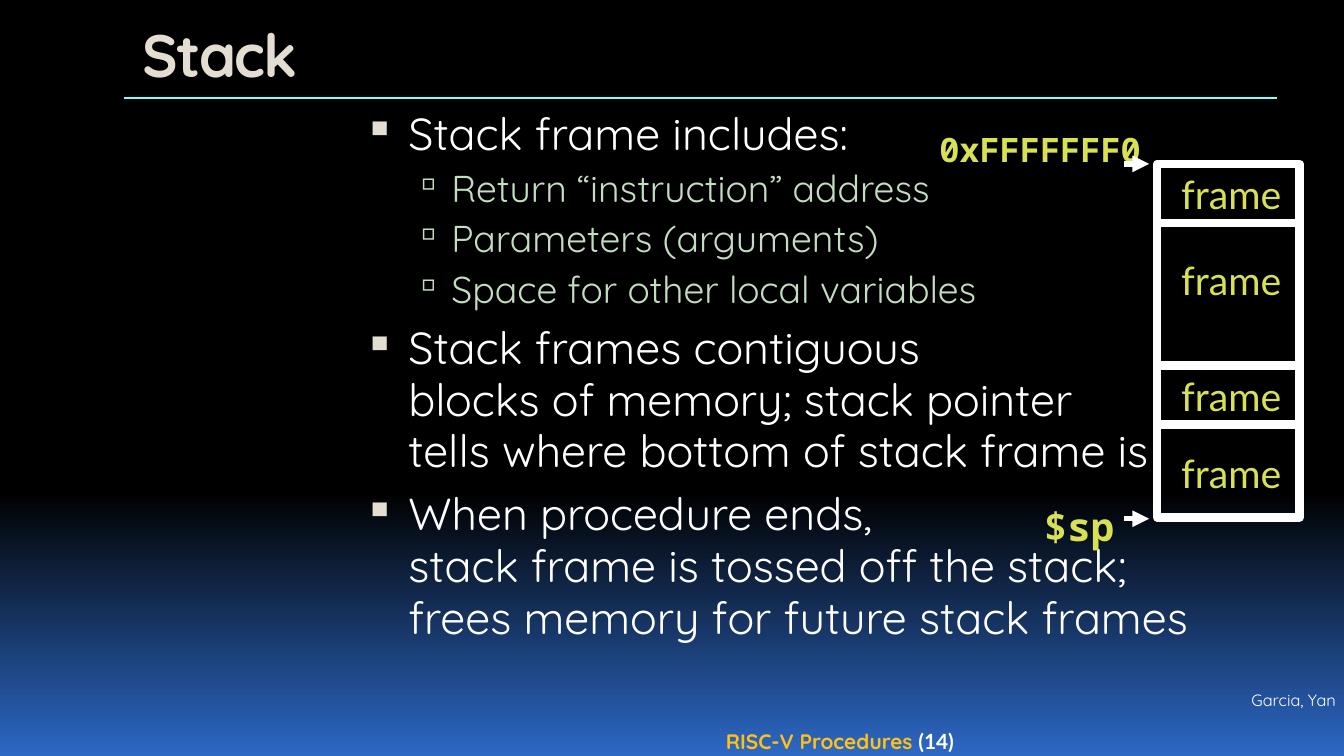
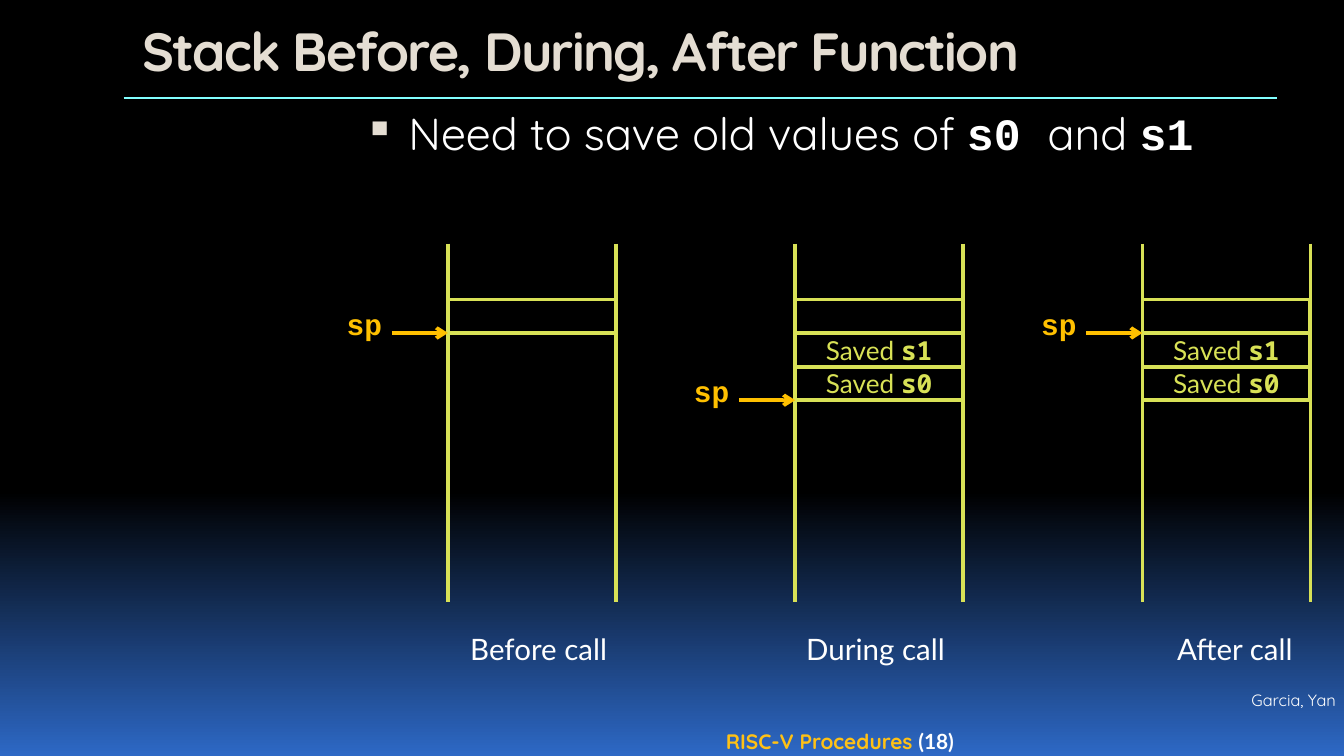
from dataclasses import dataclass

from lxml.etree import SubElement
from pptx import Presentation
from pptx.dml.color import RGBColor
from pptx.enum.shapes import MSO_CONNECTOR, MSO_SHAPE
from pptx.enum.text import MSO_ANCHOR, MSO_AUTO_SIZE, PP_ALIGN
from pptx.oxml.ns import qn
from pptx.util import Pt

WHITE, BLACK, BLUE = "FFFFFF", "000000", "2D68C5"
CREAM, MINT, LIME = "E4DDD2", "C5DBC3", "D8E156"
CYAN, GOLD, AMBER = "82FFFF", "FFC115", "FFC000"
HEAD, BODY, MONO, CODE = "Quicksand", "Lato", "Noto Sans Mono", "Courier New"


@dataclass(frozen=True)
class Run:
    text: str
    font: str = HEAD
    bold: bool = False


@dataclass(frozen=True)
class Level:
    size: float
    color: str
    bullet: str
    bullet_color: str
    bullet_size: int
    left: float
    hanging: float
    before: float


@dataclass(frozen=True)
class Bullet:
    level: Level
    runs: tuple[Run, ...]


@dataclass(frozen=True)
class Frame:
    height: float
    label_offset: float


@dataclass(frozen=True)
class Pointer:
    text: str
    size: float
    left: float
    top: float
    width: float
    height: float
    arrow_y: float


@dataclass(frozen=True)
class StackState:
    caption: str
    caption_left: float
    caption_width: float
    sp_row: int
    saved: tuple[str, ...] = ()


TOPIC = Level(24, WHITE, "▪", CREAM, 95, 28.8, 23.8, 6.2)
DETAIL = Level(20, MINT, "▫", MINT, 90, 51.8, 20.2, 4)

FRAME_BULLETS = (
    Bullet(TOPIC, (Run("Stack frame includes:"),)),
    Bullet(DETAIL, (Run("Return “instruction” address"),)),
    Bullet(DETAIL, (Run("Parameters (arguments)"),)),
    Bullet(DETAIL, (Run("Space for other local variables"),)),
    Bullet(TOPIC, (Run("Stack frames contiguous \nblocks of memory; stack pointer \n"
                       "tells where bottom of stack frame is"),)),
    Bullet(TOPIC, (Run("When procedure ends, \nstack frame is tossed off the stack; \n"
                       "frees memory for future stack frames"),)),
)
SAVE_BULLETS = (
    Bullet(TOPIC, (Run("Need to save old values of "), Run("s0 ", CODE, True),
                   Run("and "), Run("s1", CODE, True))),
)
FRAMES = (Frame(31.7, 0), Frame(76.3, 14.4), Frame(31.7, 0), Frame(49.7, 9.4))
POINTERS = (
    Pointer("$sp", 21, 552.2, 265.7, 52.6, 32.4, 277.9),
    Pointer("0xFFFFFFF0", 18, 496.1, 65.5, 123.1, 28.8, 87.8),
)
STATES = (
    StackState("Before call", 244.8, 90, 1),
    StackState("During call", 424.8, 90, 3, ("s1", "s0")),
    StackState("After call", 623.5, 77, 1, ("s1", "s0")),
)


def rgb(value: str) -> RGBColor:
    return RGBColor.from_string(value)


def write(p, text: str, *, size: float, color: str, font: str = HEAD,
          bold: bool = False, spacing: int = 0) -> None:
    for i, part in enumerate(text.split("\n")):
        if i:
            p.add_line_break()
        r = p.add_run()
        r.text = part
        r.font.size, r.font.name, r.font.bold = Pt(size), font, bold
        r.font.color.rgb = rgb(color)
        if spacing:
            r._r.get_or_add_rPr().set("spc", str(spacing))


def set_margins(tf, x: float, y: float) -> None:
    tf.margin_left = tf.margin_right = Pt(x)
    tf.margin_top = tf.margin_bottom = Pt(y)


def add_box(s, left: float, top: float, width: float, height: float, *,
            wrap: bool = False, margins: tuple[float, float] = (7.2, 3.6),
            grow: bool = True):
    tf = s.shapes.add_textbox(Pt(left), Pt(top), Pt(width), Pt(height)).text_frame
    tf.word_wrap = wrap
    tf.auto_size = MSO_AUTO_SIZE.SHAPE_TO_FIT_TEXT if grow else MSO_AUTO_SIZE.NONE
    set_margins(tf, *margins)
    return tf


def add_rect(s, left: float, top: float, width: float, height: float,
             color: str, weight: float):
    sp = s.shapes.add_shape(MSO_SHAPE.RECTANGLE, Pt(left), Pt(top), Pt(width), Pt(height))
    sp.shadow.inherit = False
    sp.fill.background()
    sp.line.color.rgb = rgb(color)
    sp.line.width = Pt(weight)
    return sp


def add_line(s, x1: float, y1: float, x2: float, y2: float,
             color: str, weight: float, head: str = "") -> None:
    cx = s.shapes.add_connector(MSO_CONNECTOR.STRAIGHT, Pt(x1), Pt(y1), Pt(x2), Pt(y2))
    cx.line.color.rgb = rgb(color)
    cx.line.width = Pt(weight)
    if head:
        SubElement(cx.line._get_or_add_ln(), qn("a:tailEnd"), type=head)
    SubElement(cx._element.spPr, qn("a:effectLst"))


def set_bullet(p, level: Level) -> None:
    pPr = p._p.get_or_add_pPr()
    pPr.set("marL", str(Pt(level.left)))
    pPr.set("indent", str(-Pt(level.hanging)))
    SubElement(SubElement(pPr, qn("a:buClr")), qn("a:srgbClr"), val=level.bullet_color)
    SubElement(pPr, qn("a:buSzPct"), val=str(level.bullet_size * 1000))
    SubElement(pPr, qn("a:buChar"), char=level.bullet)


def add_bullets(s, bullets: tuple[Bullet, ...]) -> None:
    tf = add_box(s, 180, 53.3, 506.2, 316.8, wrap=True, margins=(10, 5), grow=False)
    for i, bullet in enumerate(bullets):
        p = tf.add_paragraph() if i else tf.paragraphs[0]
        level = bullet.level
        set_bullet(p, level)
        p.line_spacing = 0.96
        if i:
            p.space_before = Pt(level.before)
        for run in bullet.runs:
            write(p, run.text, size=level.size, color=level.color,
                  font=run.font, bold=run.bold)


def set_background(prs) -> None:
    fill = prs.slide_master.background.fill
    fill.gradient()
    fill.gradient_angle = 270
    for stop, position, color in zip(fill.gradient_stops, (0.65, 1), (BLACK, BLUE)):
        stop.position = position
        stop.color.rgb = rgb(color)


def add_slide(prs, title: str, title_size: float, number: int,
              bullets: tuple[Bullet, ...]):
    s = prs.slides.add_slide(prs.slide_layouts[5])
    sp = s.shapes.title
    sp.left, sp.top, sp.width, sp.height = Pt(66.2), Pt(4.3), Pt(620), Pt(44.6)
    tf = sp.text_frame
    tf.word_wrap, tf.auto_size = True, MSO_AUTO_SIZE.NONE
    tf.vertical_anchor = MSO_ANCHOR.TOP
    set_margins(tf, 10, 5)
    p = tf.paragraphs[0]
    p.alignment = PP_ALIGN.LEFT
    write(p, title, size=title_size, color=CREAM, bold=True, spacing=-90)

    add_line(s, 66.2, 52.5, 684, 52.5, CYAN, 1.5)
    p = add_box(s, 180, 388.8, 540, 17.3, wrap=True, margins=(4.3, 1.4)).paragraphs[0]
    p.alignment = PP_ALIGN.CENTER
    write(p, "RISC-V Procedures ", size=11.2, color=GOLD, bold=True)
    write(p, f"({number})", size=11.2, color=WHITE, font=BODY, bold=True)
    p = add_box(s, 642.2, 368.6, 77.8, 14.4, wrap=True, margins=(4.3, 1.4)).paragraphs[0]
    p.alignment = PP_ALIGN.RIGHT
    write(p, "Garcia, Yan", size=8.8, color=WHITE)
    add_bullets(s, bullets)
    return s


def draw_frames(s) -> None:
    top = 87.8
    for frame in FRAMES:
        add_rect(s, 620, top, 76.3, frame.height, WHITE, 4.5)
        tf = add_box(s, 625.7, top + frame.label_offset, 70.6, 32.4)
        write(tf.paragraphs[0], "frame", size=21, color=LIME, font=BODY)
        top += frame.height
    for ptr in POINTERS:
        tf = add_box(s, ptr.left, ptr.top, ptr.width, ptr.height)
        write(tf.paragraphs[0], ptr.text, size=ptr.size, color=LIME, font=MONO, bold=True)
        add_line(s, 602, ptr.arrow_y, 615.6, ptr.arrow_y, WHITE, 3, "triangle")


def draw_state(s, state: StackState, left: float) -> None:
    width, row, first_row = 90, 18, 160.4
    for x in (left, left + width):
        add_line(s, x, 130.5, x, 322.5, LIME, 2)
    add_rect(s, left, first_row, width, row, LIME, 2)
    for i, name in enumerate(state.saved, 1):
        tf = add_rect(s, left, first_row + i * row, width, row, LIME, 2).text_frame
        tf.vertical_anchor = MSO_ANCHOR.MIDDLE
        p = tf.paragraphs[0]
        p.alignment = PP_ALIGN.CENTER
        write(p, "Saved ", size=14, color=LIME, font=BODY)
        write(p, name, size=14, color=LIME, font=MONO, bold=True)
    sp_y = first_row + state.sp_row * row
    add_line(s, left - 30, sp_y, left, sp_y, AMBER, 2, "arrow")
    tf = add_box(s, left - 61.3, sp_y - row, 33.8, 26.6)
    write(tf.paragraphs[0], "sp", size=15.8, color=AMBER, font=CODE, bold=True)
    tf = add_box(s, state.caption_left, 334.8, state.caption_width, 26.6)
    write(tf.paragraphs[0], state.caption, size=15.8, color=WHITE, font=BODY)


def main() -> None:
    prs = Presentation()
    prs.slide_width, prs.slide_height = Pt(720), Pt(405)
    set_background(prs)
    draw_frames(add_slide(prs, "Stack", 32, 14, FRAME_BULLETS))
    s = add_slide(prs, "Stack Before, During, After Function", 28.8, 18, SAVE_BULLETS)
    for i, state in enumerate(STATES):
        draw_state(s, state, 240 + 186 * i)
    prs.save("out.pptx")


if __name__ == "__main__":
    main()
